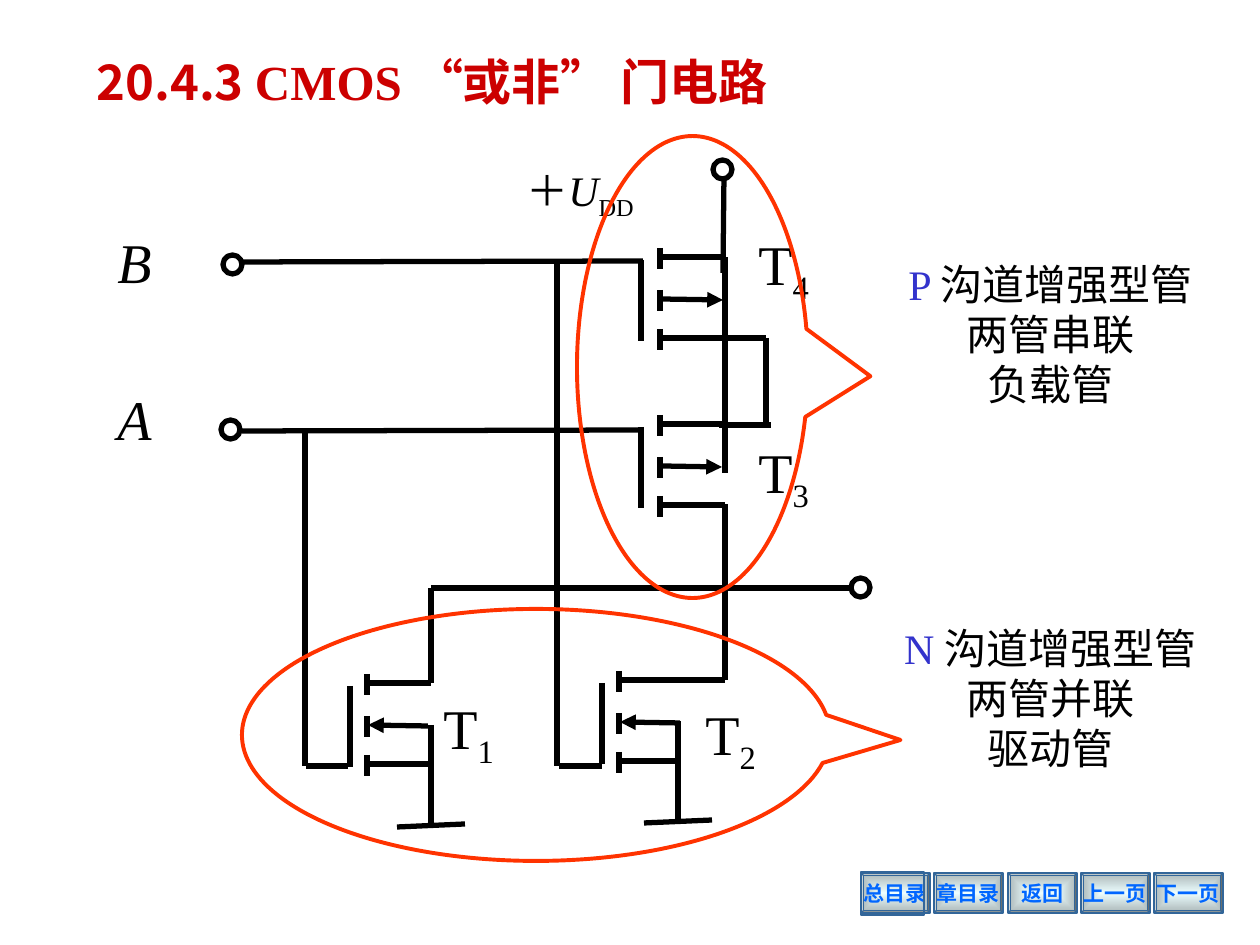
from lxml.etree import SubElement
from pptx import Presentation
from pptx.dml.color import RGBColor as RGB
from pptx.enum.shapes import MSO_CONNECTOR as CONN, MSO_SHAPE as SHAPE
from pptx.enum.text import MSO_ANCHOR as ANCHOR, MSO_AUTO_SIZE as FIT, PP_ALIGN as ALIGN
from pptx.oxml.ns import qn
from pptx.util import Pt

PX = 914400 / 126
SERIF, SANS = "Times New Roman", "Noto Sans CJK SC"
COLORS = {"ink": "000000", "title": "CC0000", "type": "3333CC", "callout": "FF3300",
          "edge": "336699", "link": "0066FF", "shine": "ECFDFE", "shade": "AAB6B7"}


def px(*values):
    return [round(v * PX) for v in values]


def color(name):
    return RGB.from_string(COLORS[name])


def add_run(p, text, size=24, ink="ink", font=SERIF, bold=False, italic=False, sub=False):
    r = p.add_run()
    r.text = text
    f = r.font
    f.size, f.bold, f.italic, f.name = Pt(size), bold, italic, font
    f.color.rgb = color(ink)
    rPr = r._r.get_or_add_rPr()
    SubElement(rPr, qn("a:ea")).set("typeface", SANS)
    if sub:
        rPr.set("baseline", "-25000")


class Circuit:
    """Draws circuit parts on one slide in a shared style."""

    def __init__(self, slide, weight=3):
        self.s, self.weight = slide, weight

    def title(self, box, runs):
        sp = self.s.shapes.title
        sp.left, sp.top, sp.width, sp.height = px(*box)
        tf = sp.text_frame
        tf.auto_size, tf.vertical_anchor = FIT.NONE, ANCHOR.TOP
        p = tf.paragraphs[0]
        p.alignment = ALIGN.LEFT
        for text, font in runs:
            add_run(p, text, size=28, ink="title", font=font, bold=True)

    def label(self, box, lines, align=ALIGN.LEFT):
        tf = self.s.shapes.add_textbox(*px(*box)).text_frame
        tf.word_wrap = True
        for i, runs in enumerate(lines):
            p = tf.add_paragraph() if i else tf.paragraphs[0]
            p.alignment = align
            for text, fmt in runs:
                add_run(p, text, **fmt)

    def wire(self, x1, y1, x2, y2, arrow=None):
        cn = self.s.shapes.add_connector(CONN.STRAIGHT, *px(x1, y1, x2, y2))
        cn.line.width = Pt(self.weight)
        cn.line.color.rgb = color("ink")
        spPr = cn._element.spPr
        if arrow:
            SubElement(spPr.find(qn("a:ln")), qn(f"a:{arrow}")).set("type", "triangle")
        SubElement(spPr, qn("a:effectLst"))

    def outline(self, kind, box, ink, weight):
        sp = self.s.shapes.add_shape(kind, *px(*box))
        sp.shadow.inherit = False
        sp.fill.background()
        sp.line.color.rgb = color(ink)
        sp.line.width = Pt(weight)
        return sp

    def terminal(self, x, y):
        self.outline(SHAPE.OVAL, (x, y, 19, 19), "ink", self.weight)

    def callout(self, box, tip):
        sp = self.outline(SHAPE.OVAL_CALLOUT, box, "callout", 2.25)
        sp.adjustments[0], sp.adjustments[1] = tip

    def mosfet(self, x, y, gate, drain, source, body, arrow):
        for dy in (0, 42, 81):
            self.wire(x, y + dy, x, y + dy + 21)
        self.wire(gate, y + 12, gate, y + 93)
        self.wire(x + 1, y + 9, drain, y + 9)
        self.wire(x + 1, y + 51, body, y + 52, arrow)
        self.wire(x + 1, y + 90, source, y + 90)

    def button(self, box, text):
        sp = self.outline(SHAPE.BEVEL, box, "edge", 0.75)
        sp.adjustments[0] = 0.06
        sp.fill.gradient()
        for stop, name, pos in zip(sp.fill.gradient_stops, ("shine", "shade"), (0, 1)):
            stop.color.rgb = color(name)
            stop.position = pos
        grad = sp._element.spPr.find(qn("a:gradFill"))
        grad.remove(grad.find(qn("a:lin")))
        shape_path = SubElement(grad, qn("a:path"))
        shape_path.set("path", "rect")
        rect = SubElement(shape_path, qn("a:fillToRect"))
        for side in "ltrb":
            rect.set(side, "50000")
        tf = sp.text_frame
        tf.word_wrap, tf.vertical_anchor = False, ANCHOR.MIDDLE
        p = tf.paragraphs[0]
        p.alignment = ALIGN.CENTER
        add_run(p, text, size=12, ink="link", bold=True)


def main():
    prs = Presentation()
    prs.slide_width, prs.slide_height = px(1260, 945)
    c = Circuit(prs.slides.add_slide(prs.slide_layouts[5]))

    for i, text in enumerate(("总目录", "章目录", "返回", "上一页", "下一页")):
        c.button((round(861 + 73.3 * i), 873, 69, 40), text)
    c.outline(SHAPE.RECTANGLE, (861, 872, 63, 43), "edge", 0.75)

    c.title((84, 45, 924, 72), [("20.4.3 ", SANS), ("CMOS “", SERIF), ("或非", SANS),
                                ("”", SERIF), (" 门电路", SANS)])

    for part in (
        (367, 674, 350, 431, 431, 428, "headEnd"),
        (619, 671, 602, 725, 680, 680, "headEnd"),
        (660, 415, 641, 722, 725, 722, "tailEnd"),
        (660, 248, 641, 722, 766, 723, "tailEnd"),
    ):
        c.mosfet(*part)

    for ends in (
        (242, 262, 643, 261), (242, 431, 643, 430),
        (557, 766, 557, 262), (602, 766, 559, 766),
        (305, 766, 305, 431), (348, 766, 306, 766),
        (723, 273, 724, 179), (725, 473, 725, 257),
        (766, 338, 766, 422), (719, 425, 771, 425),
        (725, 504, 725, 680), (431, 683, 431, 588), (431, 588, 853, 588),
        (431, 725, 431, 824), (397, 827, 465, 824),
        (678, 721, 678, 820), (644, 823, 712, 820),
    ):
        c.wire(*ends)

    for x, y in ((713, 160), (851, 578), (221, 420), (223, 255)):
        c.terminal(x, y)

    big = {"size": 32}
    for x, y, number in ((431, 687, "1"), (693, 693, "2"), (746, 431, "3"), (746, 223, "4")):
        c.label((x, y, 104, 89), [[("T", big), (number, {**big, "sub": True})]])
    for y, name in ((378, "A"), (221, "B")):
        c.label((105, y, 84, 81), [[(name, {**big, "italic": True})]])
    c.label((514, 158, 189, 71), [[("＋", {}), ("U", {"italic": True}), ("DD", {"sub": True})]])

    han = {"font": SANS}
    for y, kind, wiring, role, oval, tip in (
        (616, "N ", "两管并联", "驱动管", (242, 609, 588, 252), (0.62, 0.02)),
        (252, "P ", "两管串联", "负载管", (577, 136, 231, 462), (0.77, 0.02)),
    ):
        c.label((872, y, 357, 164),
                [[(kind, {"ink": "type"}), ("沟道增强型管", han)], [(wiring, han)], [(role, han)]],
                ALIGN.CENTER)
        c.callout(oval, tip)

    prs.save("out.pptx")


if __name__ == "__main__":
    main()
